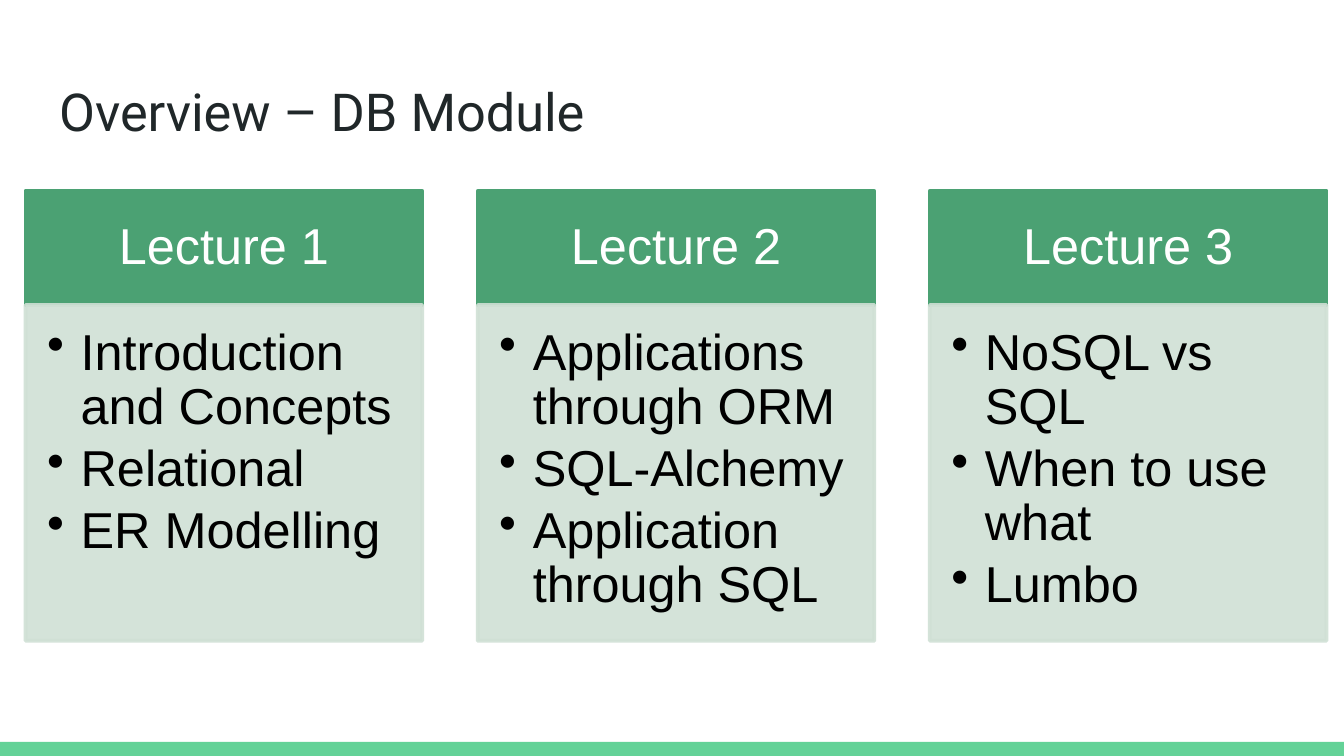
"""Build the overview slide with one card for each lecture."""
from dataclasses import dataclass

from lxml import etree
from pptx import Presentation
from pptx.dml.color import RGBColor
from pptx.enum.shapes import MSO_SHAPE
from pptx.enum.text import MSO_ANCHOR, MSO_AUTO_SIZE, PP_ALIGN
from pptx.oxml.ns import qn
from pptx.util import Pt

RECT = MSO_SHAPE.RECTANGLE
TOP, MIDDLE = MSO_ANCHOR.TOP, MSO_ANCHOR.MIDDLE
LEFT, CENTER = PP_ALIGN.LEFT, PP_ALIGN.CENTER
FIXED = MSO_AUTO_SIZE.NONE
WIDE, HIGH = 720, 405


@dataclass(frozen=True)
class Theme:
    """Colours, fonts and type sizes of the slide."""
    paper: str = "FFFFFF"
    ink: str = "202729"
    body: str = "000000"
    head: str = "4BA173"
    panel: str = "D0E0D5"
    bar: str = "63D297"
    title_font: str = "Roboto"
    font: str = "Arial"
    title_size: int = 28
    size: int = 27


class Deck:
    """Hold the theme and the current slide."""

    def __init__(self, theme):
        """Start a file with one title-only slide."""
        self.theme = theme
        self.show = Presentation()
        self.show.slide_width, self.show.slide_height = Pt(WIDE), Pt(HIGH)
        self.slide = self.show.slides.add_slide(self.show.slide_layouts[5])
        back = self.slide.background.fill
        back.solid()
        back.fore_color.rgb = RGBColor.from_string(theme.paper)

    def frame(self, shape, insets, anchor):
        """Set up the text frame of a shape."""
        frame = shape.text_frame
        frame.word_wrap, frame.auto_size = True, FIXED
        frame.vertical_anchor = anchor
        (frame.margin_left, frame.margin_top,
         frame.margin_right, frame.margin_bottom) = map(Pt, insets)
        return frame

    def words(self, para, text, font, size, color, align):
        """Add one run to a paragraph."""
        para.alignment = align
        run = para.add_run()
        run.text = text
        run.font.name, run.font.size = font, Pt(size)
        run.font.color.rgb = RGBColor.from_string(color)

    def title(self, text, box):
        """Place and fill the title."""
        shape = self.slide.shapes.title
        shape.left, shape.top, shape.width, shape.height = map(Pt, box)
        frame = self.frame(shape, (7.2,) * 4, TOP)
        look = self.theme
        self.words(frame.paragraphs[0], text, look.title_font,
                   look.title_size, look.ink, LEFT)

    def block(self, box, color, edge=0, alpha=100):
        """Draw a flat rectangle."""
        shape = self.slide.shapes.add_shape(RECT, *map(Pt, box))
        shape.shadow.inherit = False
        paints = [shape.fill]
        if edge:
            shape.line.width = Pt(edge)
            paints.append(shape.line.fill)
        else:
            shape.line.fill.background()
        for paint in paints:
            paint.solid()
            paint.fore_color.rgb = RGBColor.from_string(color)
        if alpha < 100:
            for node in shape.element.spPr.iter(qn("a:srgbClr")):
                etree.SubElement(node, qn("a:alpha"), val=str(alpha * 1000))
        return shape

    def header(self, text, box):
        """Draw the head of a card."""
        look = self.theme
        shape = self.block(box, look.head, 2)
        frame = self.frame(shape, (15, 8.5, 15, 8.5), MIDDLE)
        para = frame.paragraphs[0]
        para.line_spacing = 0.9
        self.words(para, text, look.font, look.size, look.paper, CENTER)

    def bullets(self, items, box):
        """Draw the panel of a card with its bullet list."""
        look = self.theme
        shape = self.block(box, look.panel, 2, 90)
        frame = self.frame(shape, (11.5, 11.5, 13.5, 17), TOP)
        for rank, item in enumerate(items):
            para = frame.add_paragraph() if rank else frame.paragraphs[0]
            para.line_spacing, para.space_after = 0.9, Pt(4)
            props = para._p.get_or_add_pPr()
            props.set("marL", str(Pt(18)))
            props.set("indent", str(-Pt(18)))
            etree.SubElement(props, qn("a:buChar"), char="•")
            self.words(para, item, look.font, look.size, look.body, LEFT)


def main():
    """Lay out the title, the cards and the bottom bar."""
    deck = Deck(Theme())
    deck.block((0, 397.5, WIDE, 7.5), deck.theme.bar)
    deck.title("Overview – DB Module", (24.5, 35.3, 671, 45.4))
    cards = {
        "Lecture 1": ("Introduction and Concepts", "Relational",
                      "ER Modelling"),
        "Lecture 2": ("Applications through ORM", "SQL-Alchemy",
                      "Application through SQL"),
        "Lecture 3": ("NoSQL vs SQL", "When to use what", "Lumbo"),
    }
    wide, step, top, head = 212.5, 242.2, 102.2, 61.2
    for rank, (name, items) in enumerate(cards.items()):
        left = 13.7 + rank * step
        deck.header(name, (left, top, wide, head))
        deck.bullets(items, (left, top + head, wide, 180))
    deck.show.save("out.pptx")


if __name__ == "__main__":
    main()
